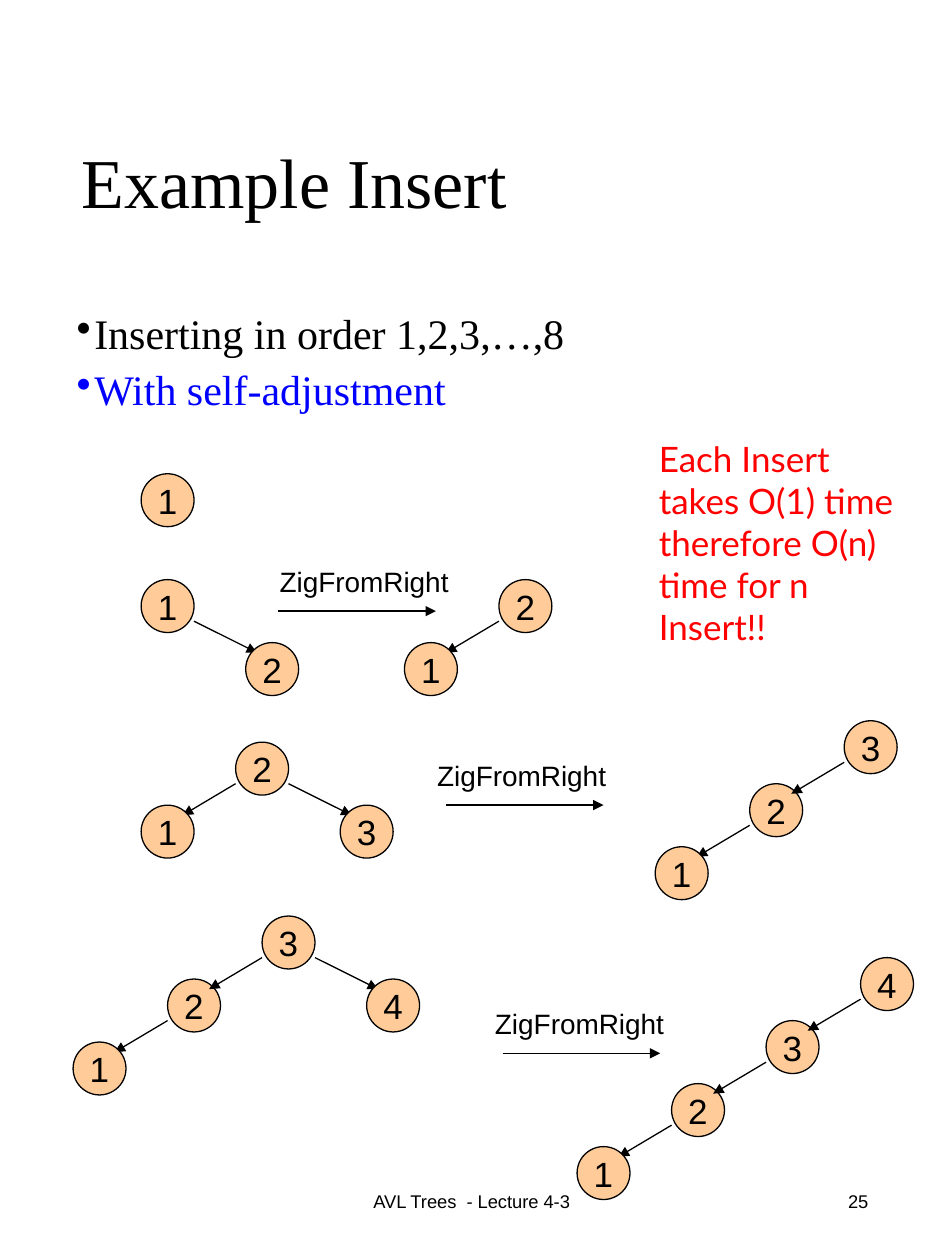
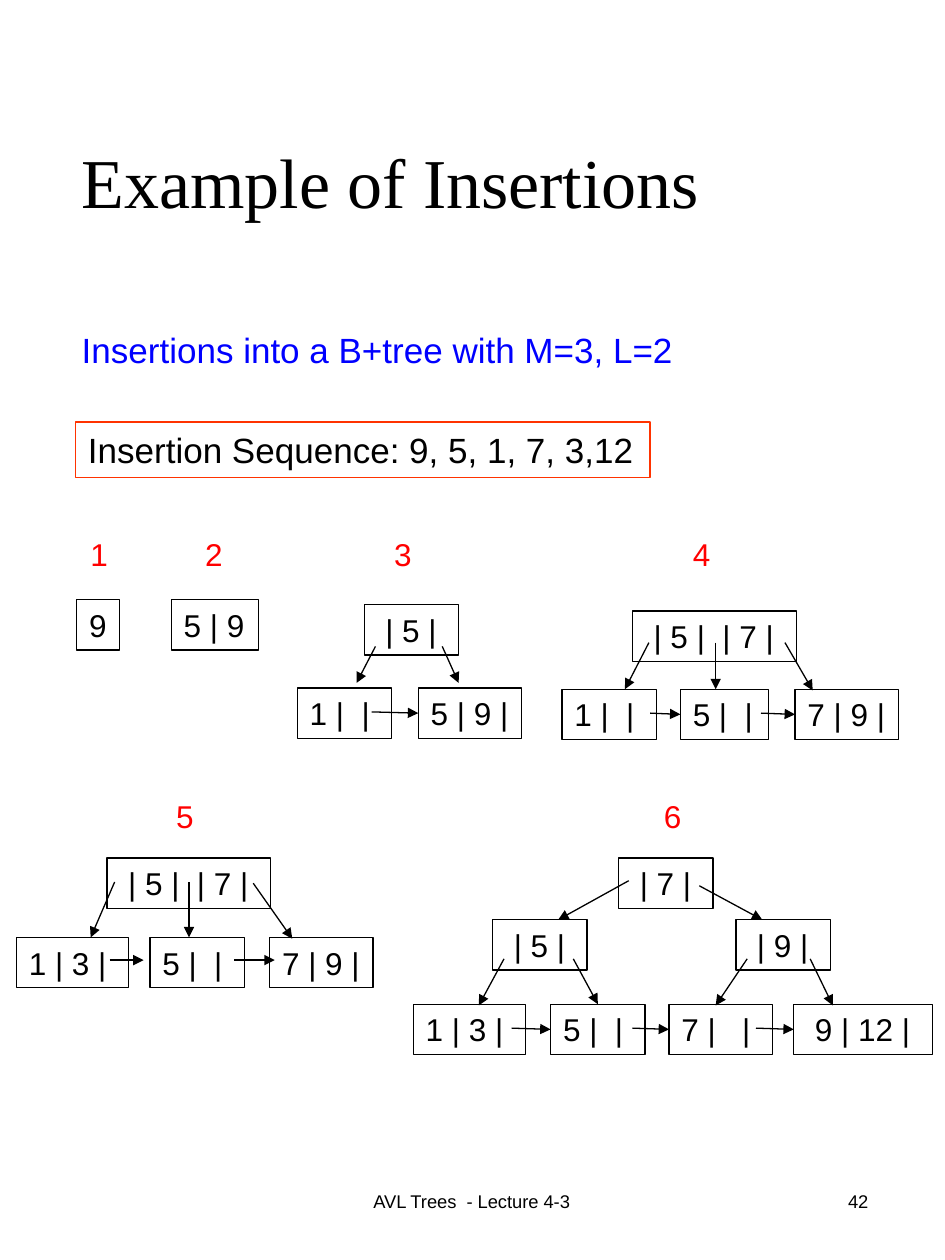
from dataclasses import dataclass
from typing import NamedTuple, Optional

from lxml import etree
from pptx import Presentation
from pptx import util as u
from pptx.dml.color import RGBColor
from pptx.enum import shapes, text
from pptx.oxml import ns

Inches = u.Inches
ALIGN = text.PP_ALIGN


@dataclass(frozen=True)
class Theme:
    ink: str = "000000"
    accent: str = "0000FF"
    alert: str = "FF0000"
    frame: str = "FF3300"
    node: str = "FFCC99"
    serif: str = "Times New Roman"
    sans: str = "Arial"
    note: str = "Lato"
    title: float = 40
    bullet: float = 24
    body: float = 20
    block: float = 18
    label: float = 16
    footer: float = 10.5
    line: float = 0.75


THEME = Theme()
NODE_SIZE = 0.42
BLOCK_HEIGHT = 0.4
JOIN_TOLERANCE = 0.025


class Area(NamedTuple):
    left: float
    top: float
    width: float
    height: float


class Style(NamedTuple):
    size: float
    color: str = THEME.ink
    font: str = THEME.sans


class Node(NamedTuple):
    key: str
    left: Optional["Node"] = None
    right: Optional["Node"] = None


class Tree(NamedTuple):
    root: Node
    x: float
    y: float


class Rotation(NamedTuple):
    label_x: float
    arrow_x: float
    y: float


class Block(NamedTuple):
    keys: str
    x: float
    width: float


class Link(NamedTuple):
    x1: float
    y1: float
    x2: float
    y2: float


@dataclass(frozen=True)
class Step:
    number: str
    x: float
    y: float
    rows: dict[float, list[Block]]
    links: list[Link]


# Shared drawing functions
def apply(target, values: dict) -> None:
    for name, value in values.items():
        setattr(target, name, value)


def write(para, words: str, style: Style) -> None:
    span = para.add_run()
    span.text = words
    apply(span.font, {"size": u.Pt(style.size), "name": style.font})
    span.font.color.rgb = RGBColor.from_string(style.color)


def fill_text(box, words: str, style: Style, para_format: dict, **frame_format) -> None:
    apply(box.text_frame, frame_format)
    para = box.text_frame.paragraphs[0]
    apply(para, para_format)
    write(para, words, style)


def add_text(page, area: Area, words: str, style: Style, wrap: bool = True,
             anchor=text.MSO_ANCHOR.TOP, **para_format) -> None:
    box = page.shapes.add_textbox(*map(Inches, area))
    fill_text(box, words, style, para_format, word_wrap=wrap, vertical_anchor=anchor)


def add_box(page, kind, area: Area, words: str, style: Style, line: str = THEME.ink,
            fill: Optional[str] = None, align=ALIGN.LEFT, **frame_format):
    box = page.shapes.add_shape(kind, *map(Inches, area))
    box.shadow.inherit = False
    if fill:
        box.fill.solid()
        box.fill.fore_color.rgb = RGBColor.from_string(fill)
    else:
        box.fill.background()
    box.line.color.rgb = RGBColor.from_string(line)
    box.line.width = u.Pt(THEME.line)
    fill_text(box, words, style, {"alignment": align}, word_wrap=False, **frame_format)
    return box


def add_frame(page, area: Area, words: str, size: float, line: str = THEME.ink):
    return add_box(page, shapes.MSO_SHAPE.RECTANGLE, area, words, Style(size), line,
                   vertical_anchor=text.MSO_ANCHOR.TOP,
                   auto_size=text.MSO_AUTO_SIZE.SHAPE_TO_FIT_TEXT)


def add_arrow(page, link: Link):
    arrow = page.shapes.add_connector(shapes.MSO_CONNECTOR.STRAIGHT, *map(Inches, link))
    arrow.line.color.rgb = RGBColor.from_string(THEME.ink)
    arrow.line.width = u.Pt(THEME.line)
    etree.SubElement(arrow.line._get_or_add_ln(), ns.qn("a:tailEnd"), type="triangle")
    etree.SubElement(arrow._element.spPr, ns.qn("a:effectLst"))
    return arrow


def add_page(deck, title: str, number: str):
    page = deck.slides.add_slide(deck.slide_layouts[6])
    middle = text.MSO_ANCHOR.MIDDLE
    footer = Style(THEME.footer)
    add_text(page, Area(2.48, 9.27, 2.53, 0.53), "AVL Trees  - Lecture 4-3", footer,
             anchor=middle, alignment=ALIGN.CENTER)
    add_text(page, Area(5.3, 9.27, 1.69, 0.53), number, footer,
             anchor=middle, alignment=ALIGN.RIGHT)
    add_text(page, Area(0.55, 0.51, 6.47, 1.93), title,
             Style(THEME.title, font=THEME.serif), anchor=middle, line_spacing=0.9)
    return page


# Binary trees
def draw_node(page, node: Node, x: float, y: float) -> None:
    for child, dx, start, end in ((node.left, -0.75, 0, -0.42),
                                  (node.right, 0.83, NODE_SIZE, 0.92)):
        if child is None:
            continue
        inner = child.left or child.right
        # Arrows lie above inner nodes and below leaves
        if inner:
            draw_node(page, child, x + dx, y + 0.5)
        add_arrow(page, Link(x + start, y + 0.33, x + end, y + 0.58))
        if not inner:
            draw_node(page, child, x + dx, y + 0.5)
    add_box(page, shapes.MSO_SHAPE.OVAL, Area(x, y, NODE_SIZE, NODE_SIZE), node.key,
            Style(THEME.body), fill=THEME.node, align=ALIGN.CENTER,
            vertical_anchor=text.MSO_ANCHOR.MIDDLE)


def draw_rotation(page, rotation: Rotation) -> None:
    add_text(page, Area(rotation.label_x, rotation.y, 1.55, 0.37), "ZigFromRight",
             Style(THEME.label), wrap=False)
    y = rotation.y + 0.42
    add_arrow(page, Link(rotation.arrow_x, y, rotation.arrow_x + 1.25, y))


def add_bullets(page, area: Area, items: list[tuple[str, str]]) -> None:
    box = page.shapes.add_textbox(*map(Inches, area))
    box.text_frame.word_wrap = True
    for index, (words, color) in enumerate(items):
        frame = box.text_frame
        para = frame.add_paragraph() if index else frame.paragraphs[0]
        properties = para._p.get_or_add_pPr()
        apply_indent = {"marL": Inches(0.14), "indent": -Inches(0.14)}
        for name, value in apply_indent.items():
            properties.set(name, str(int(value)))
        etree.SubElement(properties, ns.qn("a:buChar"), char="•")
        apply(para, {"line_spacing": 0.9, "space_before": u.Pt(5.7 if index else 0)})
        write(para, words, Style(THEME.bullet, color, THEME.serif))


# B+tree steps
def draw_step(page, step: Step) -> None:
    add_text(page, Area(step.x, step.y, 0.34, BLOCK_HEIGHT), step.number,
             Style(THEME.block, THEME.alert), wrap=False)
    sites = []
    for y, blocks in step.rows.items():
        for block in blocks:
            area = Area(block.x, y, block.width, BLOCK_HEIGHT)
            box = add_frame(page, area, block.keys, THEME.block)
            sites.append((box, 0, block.x + block.width / 2, y))
            sites.append((box, 1, block.x, y + BLOCK_HEIGHT / 2))
    for link in step.links:
        arrow = add_arrow(page, link)
        for box, site, x, y in sites:
            if max(abs(x - link.x2), abs(y - link.y2)) < JOIN_TOLERANCE:
                arrow.end_connect(box, site)


ONE, TWO = Node("1"), Node("2", Node("1"))
THREE = Node("3", TWO)
TREES = [
    Tree(ONE, 1.12, 3.76),
    Tree(Node("1", right=Node("2")), 1.12, 4.6),
    Tree(TWO, 3.96, 4.6),
    Tree(Node("2", ONE, Node("3")), 1.87, 5.89),
    Tree(THREE, 6.7, 5.72),
    Tree(Node("3", TWO, Node("4")), 2.08, 7.27),
    Tree(Node("4", THREE), 6.83, 7.6),
]
ROTATIONS = [Rotation(2.12, 2.21, 4.43), Rotation(3.37, 3.54, 5.97),
             Rotation(3.83, 3.99, 7.94)]

STEPS = [
    Step("1", 0.62, 4.2, {4.76: [Block("9", 0.61, 0.34)]}, []),
    Step("2", 1.53, 4.2, {4.76: [Block("5 | 9", 1.36, 0.69)]}, []),
    Step("3", 3.03, 4.2,
         {4.8: [Block(" | 5 |", 2.89, 0.75)],
          5.46: [Block("1 |  |", 2.36, 0.75), Block("5 | 9 |", 3.32, 0.82)]},
         [Link(2.95, 5.65, 3.32, 5.65), Link(2.98, 5.13, 2.83, 5.42),
          Link(3.51, 5.13, 3.64, 5.42)]),
    Step("4", 5.4, 4.2,
         {4.85: [Block(" | 5 |  | 7 |", 5.02, 1.3)],
          5.47: [Block("1 |  |", 4.46, 0.75), Block("5 |  |", 5.4, 0.7),
                 Block("7 | 9 |", 6.31, 0.82)]},
         [Link(5.15, 5.1, 4.96, 5.47), Link(5.68, 5.1, 5.68, 5.47),
          Link(6.23, 5.1, 6.45, 5.48), Link(5.16, 5.66, 5.4, 5.66),
          Link(6.04, 5.66, 6.29, 5.66)]),
    Step("5", 1.3, 6.28,
         {6.81: [Block(" | 5 |  | 7 |", 0.85, 1.3)],
          7.44: [Block("1 | 3 |", 0.13, 0.89), Block("5 |  |", 1.19, 0.75),
                 Block("7 | 9 |", 2.14, 0.82)]},
         [Link(0.87, 7.62, 1.14, 7.62), Link(1.86, 7.62, 2.18, 7.62),
          Link(0.91, 7, 0.72, 7.44), Link(1.5, 7, 1.5, 7.44),
          Link(2.01, 7.01, 2.32, 7.45)]),
    Step("6", 5.17, 6.28,
         {6.81: [Block(" | 7 |", 4.91, 0.75)],
          7.3: [Block(" | 5 |", 3.91, 0.75), Block(" | 9 |", 5.84, 0.75)],
          7.97: [Block("1 | 3 |", 3.28, 0.89), Block("5 |  |", 4.37, 0.75),
                 Block("7 |   |", 5.31, 0.82), Block(" 9 | 12 |", 6.3, 1.1)]},
         [Link(4.99, 6.99, 4.43, 7.3), Link(5.55, 7.03, 6.05, 7.3),
          Link(4, 7.61, 3.8, 7.98), Link(4.55, 7.61, 4.74, 7.98),
          Link(5.93, 7.61, 5.68, 7.98), Link(6.43, 7.61, 6.61, 7.98),
          Link(4.06, 8.16, 4.37, 8.16), Link(5.02, 8.16, 5.32, 8.16),
          Link(6, 8.16, 6.31, 8.16)]),
]


def build_insert_page(deck) -> None:
    page = add_page(deck, "Example Insert", "25")
    add_bullets(page, Area(0.51, 2.44, 6.47, 6.34),
                [("Inserting in order 1,2,3,…,8", THEME.ink),
                 ("With self-adjustment", THEME.accent)])
    for tree in TREES:
        draw_node(page, *tree)
    for rotation in ROTATIONS:
        draw_rotation(page, rotation)
    add_text(page, Area(5.13, 3.42, 2.15, 1.78),
             "Each Insert takes O(1) time therefore O(n) time for n Insert!!",
             Style(THEME.body, THEME.alert, THEME.note))


def build_insertions_page(deck) -> None:
    page = add_page(deck, "Example of Insertions", "42")
    add_text(page, Area(0.55, 2.56, 5.31, 0.44), "Insertions into a B+tree with M=3, L=2",
             Style(THEME.body, THEME.accent))
    add_frame(page, Area(0.6, 3.35, 4.56, 0.44), "Insertion Sequence: 9, 5, 1, 7, 3,12",
              THEME.body, THEME.frame)
    for step in STEPS:
        draw_step(page, step)


def main() -> None:
    deck = Presentation()
    apply(deck, {"slide_width": Inches(7.5), "slide_height": Inches(10)})
    build_insert_page(deck)
    build_insertions_page(deck)
    deck.save("out.pptx")


if __name__ == "__main__":
    main()
